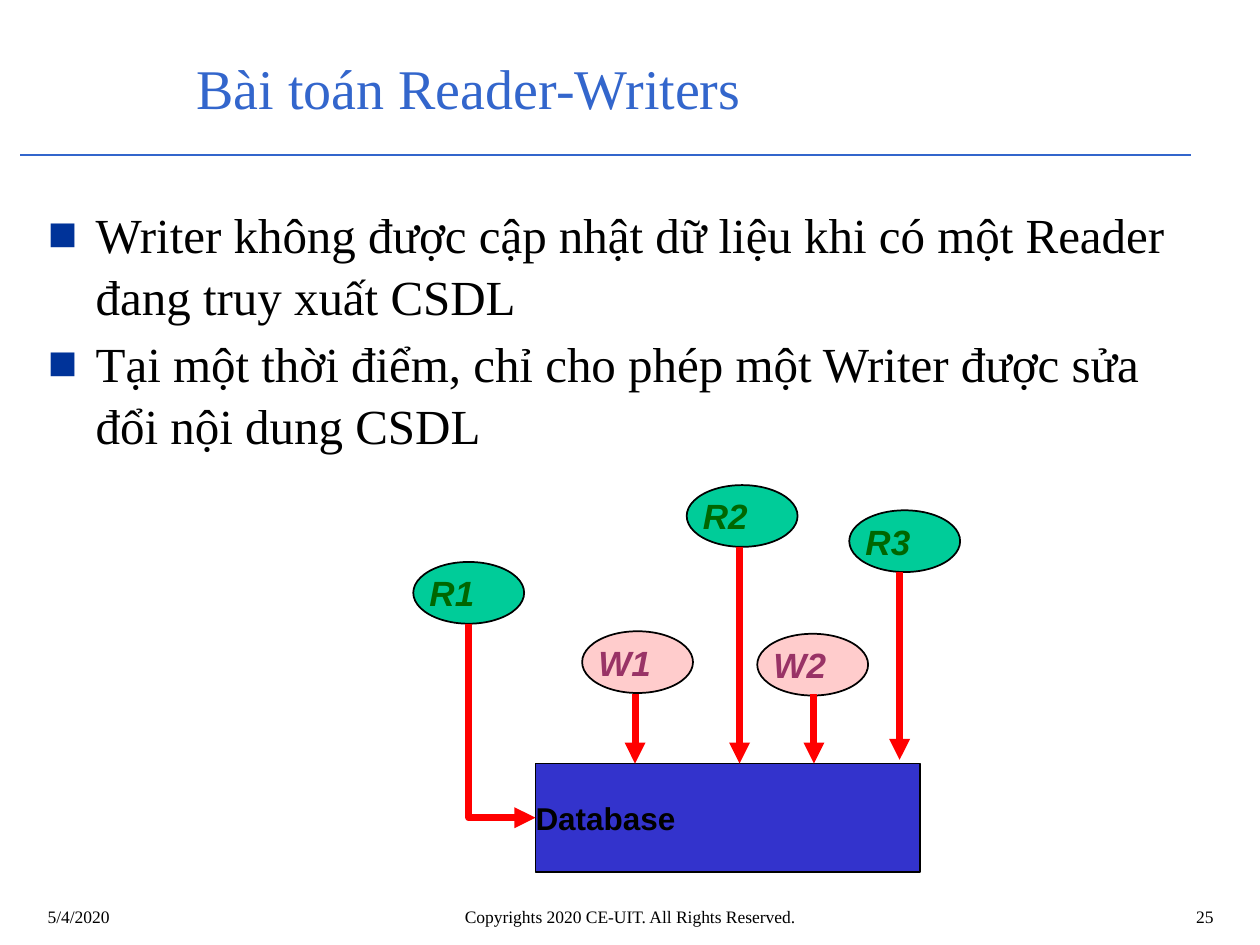
from pptx import Presentation
from pptx.dml.color import RGBColor
from pptx.enum import shapes, text
from pptx.oxml.ns import qn
from pptx.util import Inches, Pt
from lxml import etree

# Content
TITLE = "Bài toán Reader-Writers"
POINTS = [
    "Writer không được cập nhật dữ liệu khi có một Reader đang truy xuất CSDL",
    "Tại một thời điểm, chỉ cho phép một Writer được sửa đổi nội dung CSDL",
]
LEFT, CENTER, RIGHT = text.PP_ALIGN.LEFT, text.PP_ALIGN.CENTER, text.PP_ALIGN.RIGHT
FOOTERS = [  # text, left, width, alignment
    ("5/4/2020", 0.28, 2.33, LEFT),
    ("Copyrights 2020 CE-UIT. All Rights Reserved.", 1.93, 6.14, CENTER),
    ("25", 7.81, 1.92, RIGHT),
]
READER, WRITER = ("00CC99", "006600"), ("FFCCCC", "993366")  # fill, text
PROCESSES = [  # name, left, top, colours
    ("R1", 3.28, 4.46, READER),
    ("R2", 5.45, 3.85, READER),
    ("R3", 6.74, 4.05, READER),
    ("W1", 4.62, 5.01, WRITER),
    ("W2", 6.01, 5.03, WRITER),
]
OVAL_SIZE = (0.88, 0.49)
DATABASE = (4.25, 6.06, 3.05, 0.86)
ARROWS = [  # points of each path
    [(3.72, 4.95), (3.72, 6.49), (4.25, 6.49)],
    [(5.04, 5.51), (5.04, 6.06)],
    [(5.87, 4.34), (5.87, 6.06)],
    [(6.46, 5.51), (6.46, 6.06)],
    [(7.14, 4.54), (7.14, 6.03)],
]

presentation = Presentation()
presentation.slide_width, presentation.slide_height = Inches(10), Inches(7.5)
slide = presentation.slides.add_slide(presentation.slide_layouts[1])


def color(value):
    return RGBColor.from_string(value)


def place(shape, left, top, width, height):
    shape.left, shape.top = Inches(left), Inches(top)
    shape.width, shape.height = Inches(width), Inches(height)


def format_text(paragraph, size, font, hue, align=LEFT, bold=False, italic=False):
    paragraph.alignment = align
    for run in paragraph.runs:
        run.font.size, run.font.name = Pt(size), font
        run.font.bold, run.font.italic = bold, italic
        run.font.color.rgb = color(hue)


def add_box(kind, box, label, fill, hue, size, italic=False):
    shape = slide.shapes.add_shape(kind, *map(Inches, box))
    shape.shadow.inherit = False
    shape.fill.solid()
    shape.fill.fore_color.rgb = color(fill)
    shape.line.color.rgb = color("000000")
    shape.line.width = Pt(1)
    frame = shape.text_frame
    frame.margin_left = frame.margin_right = frame.margin_top = frame.margin_bottom = 0
    frame.vertical_anchor = text.MSO_ANCHOR.MIDDLE
    frame.text = label
    format_text(frame.paragraphs[0], size, "Arial", hue, bold=True, italic=italic)


def add_line(start, end):
    line = slide.shapes.add_connector(
        shapes.MSO_CONNECTOR.STRAIGHT, *map(Inches, start + end))
    etree.SubElement(line._element.spPr, qn("a:effectLst"))
    return line


def add_arrow(points):
    if len(points) == 2:
        arrow = add_line(*points)
    else:
        corners = [(Inches(x), Inches(y)) for x, y in points]
        builder = slide.shapes.build_freeform(*corners[0])
        builder.add_line_segments(corners[1:], close=False)
        arrow = builder.convert_to_shape()
        arrow.fill.background()
        arrow.shadow.inherit = False
    arrow.line.color.rgb = color("FF0000")
    arrow.line.width = Pt(4)
    etree.SubElement(arrow.line._get_or_add_ln(), qn("a:tailEnd"), type="triangle")


def add_bullet(paragraph, hue):
    properties = paragraph._p.get_or_add_pPr()
    properties.set("marL", str(Inches(0.38)))
    properties.set("indent", str(-Inches(0.38)))
    bullet_color = etree.SubElement(properties, qn("a:buClr"))
    etree.SubElement(bullet_color, qn("a:srgbClr"), val=hue)
    etree.SubElement(properties, qn("a:buFont"), typeface="Arial")
    etree.SubElement(properties, qn("a:buChar"), char="■")


# Title and the rule below it
title = slide.shapes.title
place(title, 1.46, 0.31, 8.04, 0.76)
title.text_frame.text = TITLE
title.text_frame.auto_size = text.MSO_AUTO_SIZE.NONE
title.text_frame.vertical_anchor = text.MSO_ANCHOR.MIDDLE
format_text(title.text_frame.paragraphs[0], 32, "Times New Roman", "3366CC")
rule = add_line((0.16, 1.23), (9.45, 1.23))
rule.line.color.rgb = color("3366CC")
rule.line.width = Pt(0.75)

# Bullet list
body = slide.placeholders[1]
place(body, 0.28, 1.55, 9.22, 2.2)
body.text_frame.text = "\n".join(POINTS)
body.text_frame.auto_size = text.MSO_AUTO_SIZE.NONE
for paragraph in body.text_frame.paragraphs:
    format_text(paragraph, 28, "Times New Roman", "000000")
    paragraph.line_spacing = 1.05
    paragraph.space_before = Pt(3)
    add_bullet(paragraph, "003399")

# Footer
for label, left, width, align in FOOTERS:
    footer = slide.shapes.add_textbox(*map(Inches, (left, 7.14, width, 0.32)))
    footer.text_frame.word_wrap = True
    footer.text_frame.text = label
    format_text(footer.text_frame.paragraphs[0], 10, "Times New Roman", "000000", align)

# Diagram
add_box(shapes.MSO_SHAPE.RECTANGLE, DATABASE, "Database", "3333CC", "000000", 18)
for name, left, top, (fill, hue) in PROCESSES:
    add_box(shapes.MSO_SHAPE.OVAL, (left, top, *OVAL_SIZE), name, fill, hue, 20, italic=True)
for points in ARROWS:
    add_arrow(points)

presentation.save("out.pptx")
